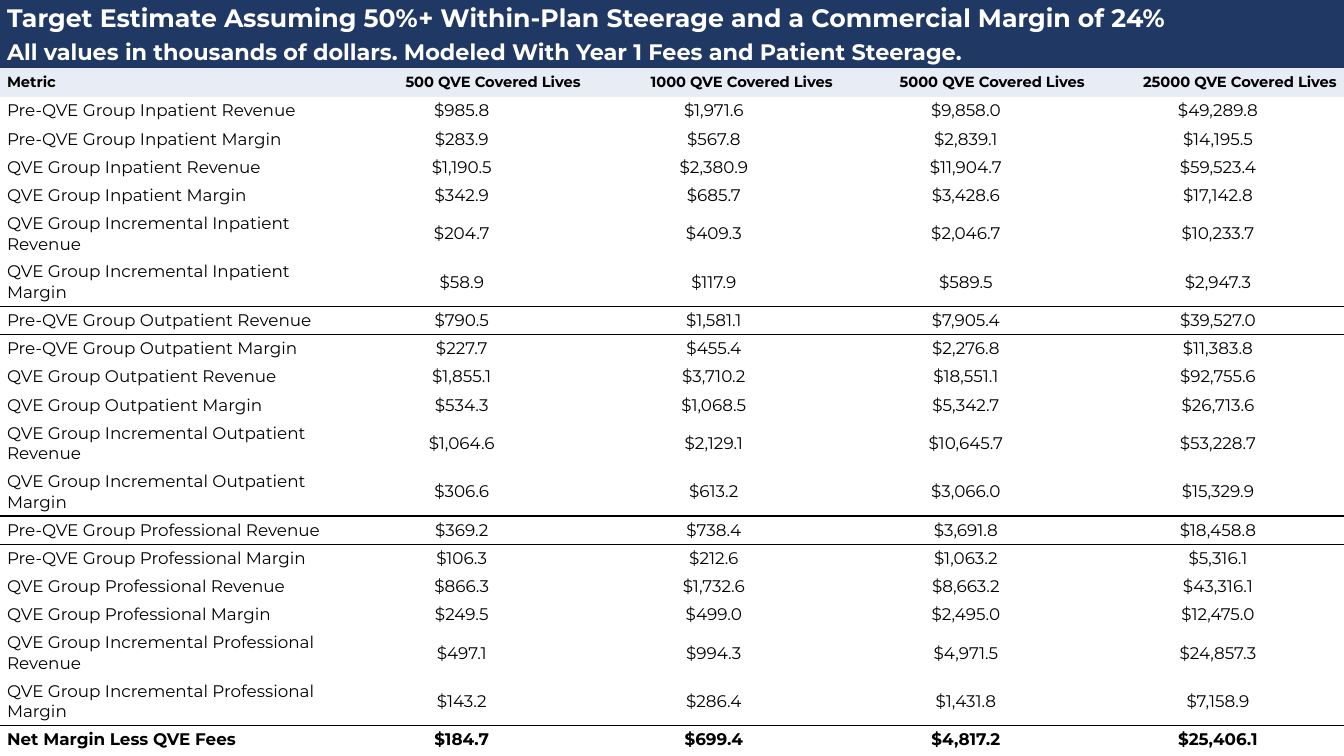
from lxml import etree
from pptx import Presentation
from pptx.dml.color import RGBColor
from pptx.enum.text import MSO_ANCHOR, PP_ALIGN
from pptx.oxml.ns import qn
from pptx.util import Inches, Pt

LEFT, CENTER, RIGHT = PP_ALIGN.LEFT, PP_ALIGN.CENTER, PP_ALIGN.RIGHT
MIDDLE = MSO_ANCHOR.MIDDLE
NAVY = RGBColor(0x20, 0x38, 0x64)
PALE_BLUE = RGBColor(0xE7, 0xEC, 0xF5)
WHITE = RGBColor(0xFF, 0xFF, 0xFF)
BLACK = RGBColor(0, 0, 0)
FONT = "Montserrat"
NO_STYLE_NO_GRID = "{2D5ABB26-0587-4C30-8999-92F81FD0307C}"
CELL_PADDING = Inches(0.07)

TITLES = [
    ("Target Estimate Assuming 50%+ Within-Plan Steerage and a Commercial Margin of 24%", 18, 0.36),
    ("All values in thousands of dollars. Modeled With Year 1 Fees and Patient Steerage.", 16, 0.32),
]
COVERED_LIVES = [500, 1000, 5000, 25000]
GROUPS = ["Pre-QVE Group", "QVE Group", "QVE Group Incremental"]
SERVICE_VALUES = {
    "Inpatient": [
        ("$985.8", "$1,971.6", "$9,858.0", "$49,289.8"),
        ("$283.9", "$567.8", "$2,839.1", "$14,195.5"),
        ("$1,190.5", "$2,380.9", "$11,904.7", "$59,523.4"),
        ("$342.9", "$685.7", "$3,428.6", "$17,142.8"),
        ("$204.7", "$409.3", "$2,046.7", "$10,233.7"),
        ("$58.9", "$117.9", "$589.5", "$2,947.3"),
    ],
    "Outpatient": [
        ("$790.5", "$1,581.1", "$7,905.4", "$39,527.0"),
        ("$227.7", "$455.4", "$2,276.8", "$11,383.8"),
        ("$1,855.1", "$3,710.2", "$18,551.1", "$92,755.6"),
        ("$534.3", "$1,068.5", "$5,342.7", "$26,713.6"),
        ("$1,064.6", "$2,129.1", "$10,645.7", "$53,228.7"),
        ("$306.6", "$613.2", "$3,066.0", "$15,329.9"),
    ],
    "Professional": [
        ("$369.2", "$738.4", "$3,691.8", "$18,458.8"),
        ("$106.3", "$212.6", "$1,063.2", "$5,316.1"),
        ("$866.3", "$1,732.6", "$8,663.2", "$43,316.1"),
        ("$249.5", "$499.0", "$2,495.0", "$12,475.0"),
        ("$497.1", "$994.3", "$4,971.5", "$24,857.3"),
        ("$143.2", "$286.4", "$1,431.8", "$7,158.9"),
    ],
}
NET_MARGIN = ("Net Margin Less QVE Fees", "$184.7", "$699.4", "$4,817.2", "$25,406.1")

metric_rows = []
for service, service_rows in SERVICE_VALUES.items():
    labels = [f"{group} {service} {measure}" for group in GROUPS for measure in ("Revenue", "Margin")]
    metric_rows += [(label, *values) for label, values in zip(labels, service_rows)]
metric_rows.append(NET_MARGIN)


def fill_cell(cell, text, size, bold, color, alignment, background=None):
    cell.margin_left = cell.margin_right = cell.margin_top = cell.margin_bottom = 0
    cell.vertical_anchor = MIDDLE
    if background is None:
        cell.fill.background()
    else:
        cell.fill.solid()
        cell.fill.fore_color.rgb = background
    paragraph = cell.text_frame.paragraphs[0]
    paragraph.text = text
    paragraph.alignment = alignment
    properties = paragraph._p.get_or_add_pPr()
    properties.set("marL", str(CELL_PADDING))
    properties.set("marR", str(CELL_PADDING))
    paragraph.font.name = FONT
    paragraph.font.size = Pt(size)
    paragraph.font.bold = bold
    paragraph.font.color.rgb = color


def add_border(cell, side):
    line = etree.Element(qn(f"a:{side}"), w=str(Pt(1)))
    solid_fill = etree.SubElement(line, qn("a:solidFill"))
    etree.SubElement(solid_fill, qn("a:srgbClr"), val=str(BLACK))
    cell._tc.get_or_add_tcPr().insert(0, line)


presentation = Presentation()
presentation.slide_width = Inches(13.33)
presentation.slide_height = Inches(7.5)
slide = presentation.slides.add_slide(presentation.slide_layouts[6])

header_row = len(TITLES)
first_metric_row = header_row + 1
table = slide.shapes.add_table(
    first_metric_row + len(metric_rows), 5, 0, 0, Inches(13.33), Inches(7.5)
).table
table.first_row = False
table.horz_banding = False
table._tbl.tblPr.find(qn("a:tableStyleId")).text = NO_STYLE_NO_GRID

for index, column in enumerate(table.columns):
    column.width = Inches(2.5 if index else 3.33)

for row, (text, size, height) in enumerate(TITLES):
    table.rows[row].height = Inches(height)
    table.cell(row, 0).merge(table.cell(row, 4))
    fill_cell(table.cell(row, 0), text, size, True, WHITE, LEFT, NAVY)

table.rows[header_row].height = Inches(0.28)
headings = ["Metric"] + [f"{lives} QVE Covered Lives" for lives in COVERED_LIVES]
for column, heading in enumerate(headings):
    alignment = RIGHT if column else LEFT
    fill_cell(table.cell(header_row, column), heading, 10.5, True, BLACK, alignment, PALE_BLUE)

for index, texts in enumerate(metric_rows):
    row = first_metric_row + index
    table.rows[row].height = Inches(0.48 if "Incremental" in texts[0] else 0.28)
    for column, text in enumerate(texts):
        cell = table.cell(row, column)
        fill_cell(cell, text, 12, texts is NET_MARGIN, BLACK, CENTER if column else LEFT)
        if index % 6 == 5:
            add_border(cell, "lnB")
        if index and index % 6 == 0:
            add_border(cell, "lnT")

presentation.save("out.pptx")
